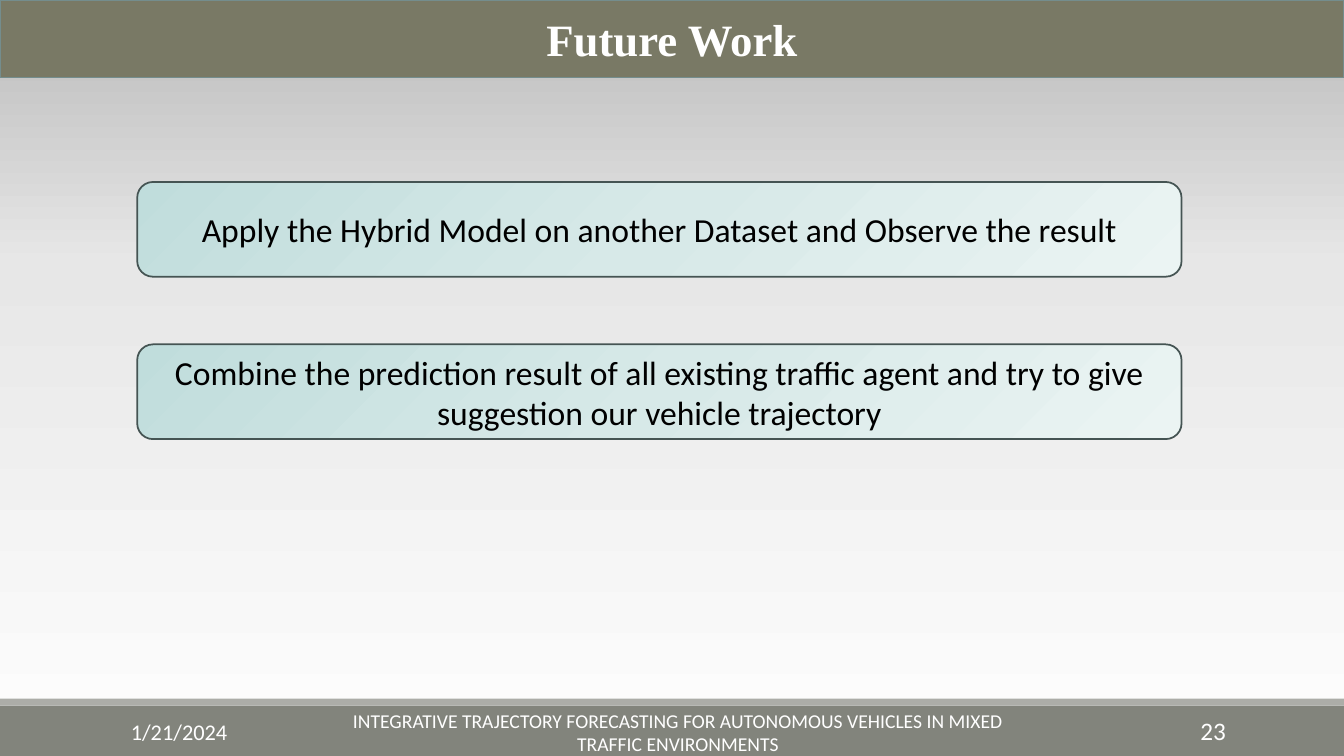
from pptx import Presentation
from pptx.dml.color import RGBColor
from pptx.enum.shapes import MSO_SHAPE
from pptx.enum.text import MSO_ANCHOR, MSO_AUTO_SIZE, PP_ALIGN
from pptx.oxml import parse_xml
from pptx.oxml.ns import nsdecls, qn
from pptx.util import Pt

RECTANGLE, ROUNDED = MSO_SHAPE.RECTANGLE, MSO_SHAPE.ROUNDED_RECTANGLE
LEFT, CENTER, RIGHT = PP_ALIGN.LEFT, PP_ALIGN.CENTER, PP_ALIGN.RIGHT
MIDDLE, NO_FIT = MSO_ANCHOR.MIDDLE, MSO_AUTO_SIZE.NONE

WHITE = RGBColor(0xFF, 0xFF, 0xFF)
BLACK = RGBColor(0x00, 0x00, 0x00)
OLIVE = RGBColor(0x79, 0x79, 0x65)
TITLE_LINE = RGBColor(0x74, 0x8D, 0x8D)
BOX_LINE = RGBColor(0x45, 0x54, 0x53)
FOOTER_DARK = RGBColor(0x82, 0x84, 0x7C)
FOOTER_LIGHT = RGBColor(0xAC, 0xAD, 0xA8)
BACKGROUND_STOPS = [
    (0, RGBColor(0xFE, 0xFE, 0xFE)),
    (65, RGBColor(0xE7, 0xE7, 0xE7)),
    (100, RGBColor(0xB9, 0xB9, 0xB9)),
]
BOX_STOPS = [
    (0, RGBColor(0xC0, 0xDD, 0xDC)),
    (50, RGBColor(0xD7, 0xE9, 0xE8)),
    (100, RGBColor(0xEB, 0xF4, 0xF3)),
]

SLIDE_WIDTH, SLIDE_HEIGHT = 960, 540
TITLE = "Future Work"
TITLE_HEIGHT = 55.3
IDEAS = [
    "Apply the Hybrid Model on another Dataset and Observe the result",
    "Combine the prediction result of all existing traffic agent and try to give "
    "suggestion our vehicle trajectory",
]
BOX_LEFT, BOX_TOP, BOX_WIDTH, BOX_HEIGHT, BOX_STEP = 98, 130, 746, 67.7, 116
FOOTER_BANDS = [(504, 36, FOOTER_DARK), (499, 5, FOOTER_LIGHT)]
FOOTER_TEXTS = [
    ("1/21/2024", 86.4, 508.5, 194.4, 16, LEFT),
    ("INTEGRATIVE TRAJECTORY FORECASTING FOR AUTONOMOUS VEHICLES IN MIXED "
     "TRAFFIC ENVIRONMENTS", 243.4, 508.5, 481.7, 14, CENTER),
    ("23", 779.8, 507, 103, 18, RIGHT),
]
FOOTER_TEXT_HEIGHT = 28.8


def set_gradient(fill, element, stops, angle):
    fill.gradient()
    fill.gradient_angle = angle
    stop_list = element.find(".//" + qn("a:gsLst"))
    for stop in list(stop_list):
        stop_list.remove(stop)
    for position, color in stops:
        stop_list.append(parse_xml(
            f'<a:gs {nsdecls("a")} pos="{position * 1000}">'
            f'<a:srgbClr val="{color}"/></a:gs>'))


def set_line(shape, color):
    shape.line.color.rgb = color
    shape.line.width = Pt(1.25)


def write(shape, text, size, color, alignment=CENTER, name="Calibri", bold=False):
    frame = shape.text_frame
    frame.text = text
    frame.word_wrap = True
    frame.auto_size = NO_FIT
    frame.vertical_anchor = MIDDLE
    paragraph = frame.paragraphs[0]
    paragraph.alignment = alignment
    font_format = {"name": name, "size": Pt(size), "bold": bold}
    for attribute, value in font_format.items():
        setattr(paragraph.runs[0].font, attribute, value)
    paragraph.runs[0].font.color.rgb = color


def add_shape(slide, kind, left, top, width, height):
    shape = slide.shapes.add_shape(kind, Pt(left), Pt(top), Pt(width), Pt(height))
    shape.shadow.inherit = False
    return shape


def add_title(slide):
    title = slide.shapes.title
    place = {"left": 0, "top": 0, "width": SLIDE_WIDTH, "height": TITLE_HEIGHT}
    for attribute, value in place.items():
        setattr(title, attribute, Pt(value))
    title.fill.solid()
    title.fill.fore_color.rgb = OLIVE
    set_line(title, TITLE_LINE)
    write(title, TITLE, 32, WHITE, name="Times New Roman", bold=True)


def add_ideas(slide):
    for index, idea in enumerate(IDEAS):
        box = add_shape(slide, ROUNDED, BOX_LEFT, BOX_TOP + index * BOX_STEP,
                        BOX_WIDTH, BOX_HEIGHT)
        set_gradient(box.fill, box.element, BOX_STOPS, 315)
        set_line(box, BOX_LINE)
        write(box, idea, 24, BLACK)


def add_footer(slide):
    for top, height, color in FOOTER_BANDS:
        band = add_shape(slide, RECTANGLE, 0, top, SLIDE_WIDTH, height)
        band.fill.solid()
        band.fill.fore_color.rgb = color
        band.line.fill.background()
    for text, left, top, width, size, alignment in FOOTER_TEXTS:
        box = slide.shapes.add_textbox(Pt(left), Pt(top), Pt(width),
                                       Pt(FOOTER_TEXT_HEIGHT))
        write(box, text, size, WHITE, alignment)


def main():
    presentation = Presentation()
    presentation.slide_width = Pt(SLIDE_WIDTH)
    presentation.slide_height = Pt(SLIDE_HEIGHT)
    slide = presentation.slides.add_slide(presentation.slide_layouts[5])
    set_gradient(slide.background.fill, slide.element, BACKGROUND_STOPS, 90)
    add_title(slide)
    add_ideas(slide)
    add_footer(slide)
    presentation.save("out.pptx")


if __name__ == "__main__":
    main()
